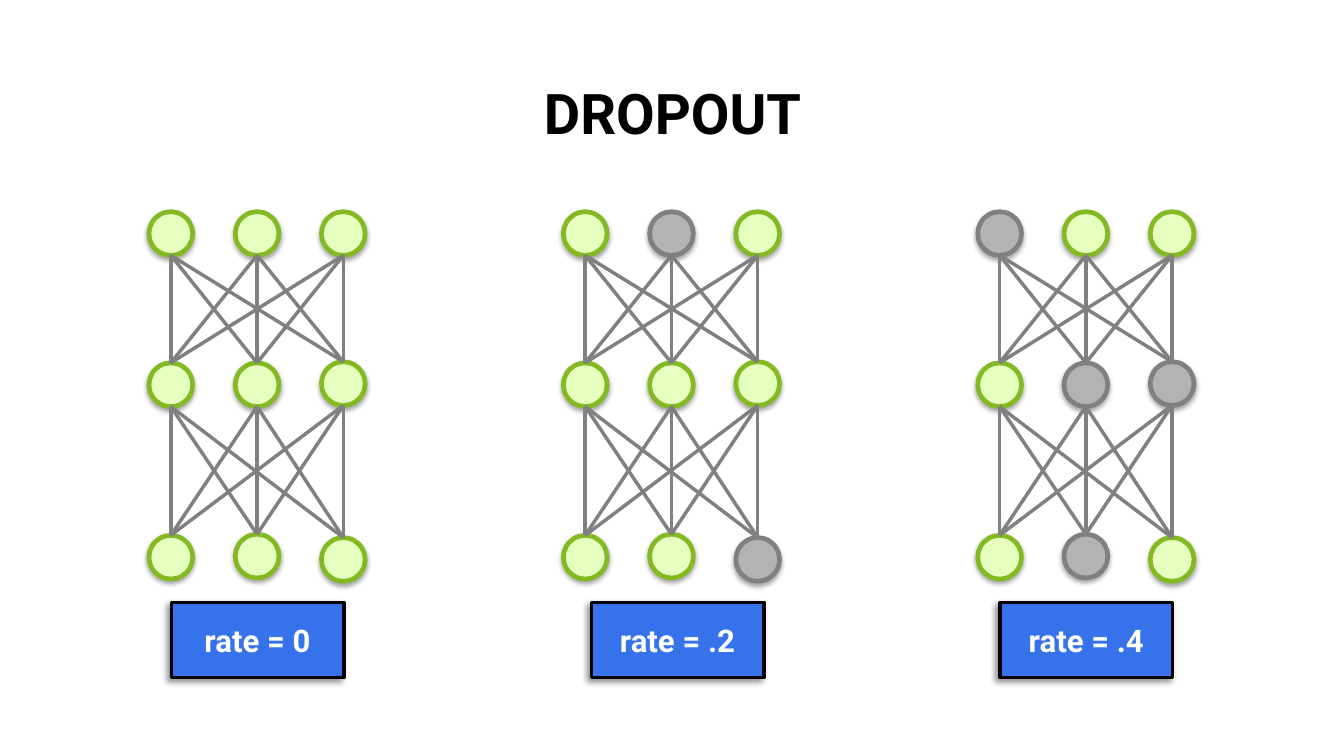
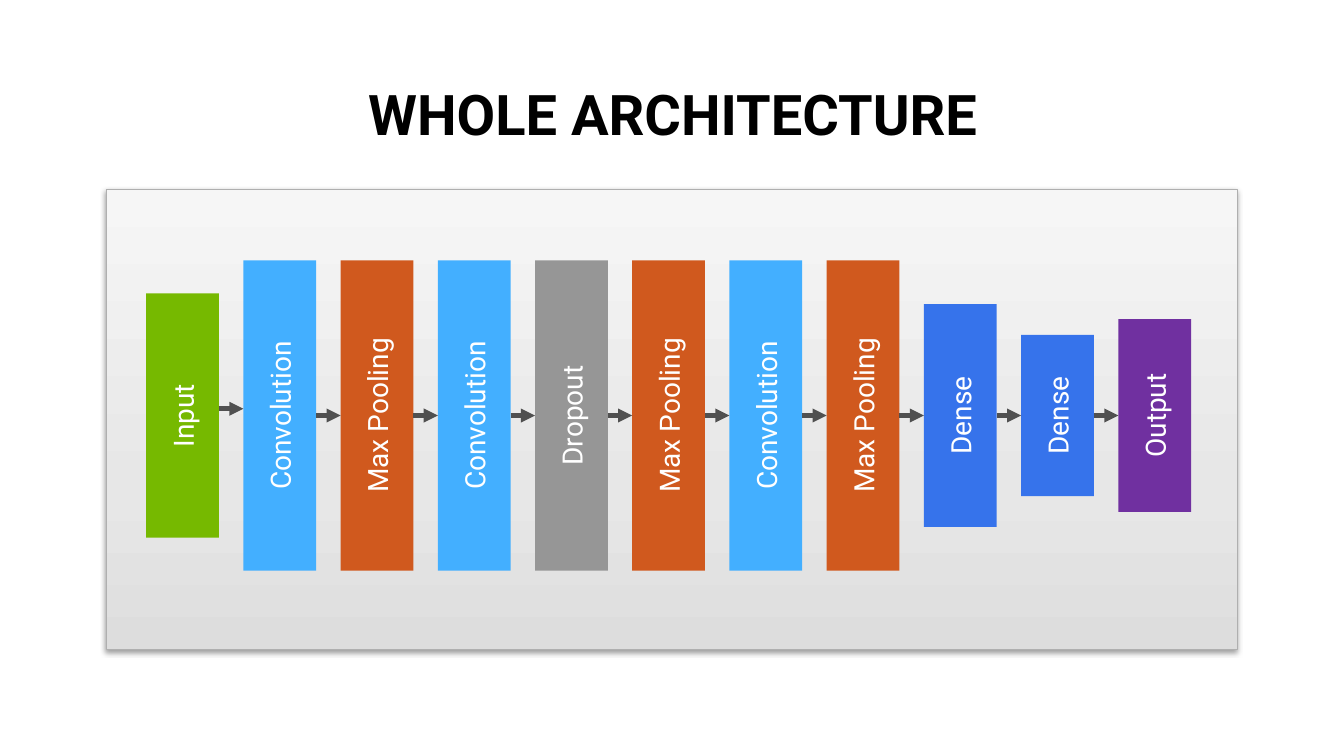
from itertools import pairwise, product

from lxml import etree
from pptx import Presentation
from pptx.dml.color import RGBColor
from pptx.enum import shapes, text
from pptx.oxml import ns
from pptx.util import Inches, Pt

FONT = "Roboto"
COLORS = {
    "ink": "000000",
    "paper": "FFFFFF",
    "active": "E7FFBE",
    "active_edge": "83BA24",
    "dropped": "B3B3B3",
    "gray": "808080",
    "arrow": "505050",
    "blue": "3673EB",
    "sky": "43AFFF",
    "green": "76B900",
    "orange": "D0591E",
    "silver": "969696",
    "purple": "7030A0",
    "panel_edge": "AFAFAF",
    "panel_dark": "DDDDDD",
    "panel_mid": "E7E7E7",
    "panel_light": "F6F6F6",
}

# Networks: label, label offset, dropped nodes as (row, column)
NETWORKS = [
    ("rate = 0", 0.2, set()),
    ("rate = .2", 0.25, {(0, 1), (2, 2)}),
    ("rate = .4", 0.2, {(0, 0), (1, 1), (1, 2), (2, 1)}),
]
NETWORK_PITCH = 3.7
NODE_SIZE = 0.39
NODE_PITCH = 0.77
NODE_TOPS = [(0, 0, 0), (1.35, 1.35, 1.34), (2.89, 2.88, 2.91)]

CONVOLUTION = ("Convolution", "sky", 2.77)
POOLING = ("Max Pooling", "orange", 2.77)
LAYERS = [
    ("Input", "green", 2.18),
    CONVOLUTION,
    POOLING,
    CONVOLUTION,
    ("Dropout", "silver", 2.77),
    POOLING,
    CONVOLUTION,
    POOLING,
    ("Dense", "blue", 1.99),
    ("Dense", "blue", 1.44),
    ("Output", "purple", 1.72),
]
LAYER_THICKNESS = 0.65


def rgb(name):
    return RGBColor.from_string(COLORS[name])


def add_child(parent, tag, **attributes):
    child = etree.SubElement(parent, ns.qn(tag))
    for name, value in attributes.items():
        child.set(name, str(value))
    return child


def add_shadow(shape, alpha, blur, distance, angle):
    """Cast an outer shadow; blur and distance are in points."""
    effects = shape._element.spPr.find(ns.qn("a:effectLst"))
    shadow = add_child(effects, "a:outerShdw", blurRad=Pt(blur), dist=Pt(distance),
                       dir=angle * 60000, algn="ctr", rotWithShape=0)
    color = add_child(shadow, "a:srgbClr", val=COLORS["ink"])
    add_child(color, "a:alpha", val=alpha * 1000)


def write(shape, words, size, color="paper", bold=False, spacing=None,
          anchor=text.MSO_ANCHOR.MIDDLE):
    """Fill a shape or text box with one centred paragraph."""
    frame = shape.text_frame
    frame.word_wrap = True
    frame.vertical_anchor = anchor
    para = frame.paragraphs[0]
    para.alignment = text.PP_ALIGN.CENTER
    if spacing:
        para.line_spacing = spacing
    span = para.add_run()
    span.text = words
    span.font.name = FONT
    span.font.size = Pt(size)
    span.font.bold = bold
    span.font.color.rgb = rgb(color)


def add_box(parent, left, top, width, height, fill=None, edge=None, weight=1,
            kind=shapes.MSO_SHAPE.RECTANGLE, rotation=0):
    box = parent.shapes.add_shape(kind, Inches(left), Inches(top),
                                  Inches(width), Inches(height))
    box.rotation = rotation
    box.shadow.inherit = False
    if fill:
        box.fill.solid()
        box.fill.fore_color.rgb = rgb(fill)
    if edge:
        box.line.color.rgb = rgb(edge)
        box.line.width = Pt(weight)
    else:
        box.line.fill.background()
    return box


def add_line(parent, start, end, color, weight, arrow=False):
    line = parent.shapes.add_connector(shapes.MSO_CONNECTOR.STRAIGHT,
                                       *map(Inches, (*start, *end)))
    line.line.color.rgb = rgb(color)
    line.line.width = Pt(weight)
    properties = line._element.spPr
    if arrow:
        add_child(properties.find(ns.qn("a:ln")), "a:tailEnd", type="triangle")
    add_child(properties, "a:effectLst")
    return line


def add_title(page, words, top):
    box = page.shapes.add_textbox(Inches(0.55), Inches(top), Inches(10.91), Inches(0.65))
    write(box, words, 36, color="ink", bold=True, spacing=0.9,
          anchor=text.MSO_ANCHOR.BOTTOM)


def add_network(page, left, top, dropped):
    """Three rows of nodes, each row fully linked to the next."""
    group = page.shapes.add_group_shape()
    for row, column in product(range(3), repeat=2):
        off = (row, column) in dropped
        node = add_box(group, left + column * NODE_PITCH, top + NODE_TOPS[row][column],
                       NODE_SIZE, NODE_SIZE, "dropped" if off else "active",
                       "gray" if off else "active_edge", 3,
                       shapes.MSO_SHAPE.OVAL, rotation=90)
        add_shadow(node, 34, 3.1, 1.8, 90)

    centers = [left + NODE_SIZE / 2 + column * NODE_PITCH for column in range(3)]
    for upper, lower in pairwise(NODE_TOPS):
        for a, b in product(range(3), repeat=2):
            add_line(group, (centers[a], top + upper[a] + NODE_SIZE),
                     (centers[b], top + lower[b]), "gray", 2.25)


def add_rate(page, left, top, words):
    box = add_box(page, left, top, 1.54, 0.67, "blue", "ink", 2.25)
    add_shadow(box, 40, 4, 3, 135)
    write(box, words, 20, bold=True)


def add_panel(parent, left, top, width, height):
    panel = add_box(parent, left, top, width, height, edge="panel_edge", weight=0.75)
    panel.fill.gradient()
    panel.fill.gradient_angle = 90
    stops = panel._element.spPr.find(".//" + ns.qn("a:gsLst"))
    for stop in list(stops):
        stops.remove(stop)
    for position, name in [(0, "panel_dark"), (35, "panel_mid"), (100, "panel_light")]:
        stop = add_child(stops, "a:gs", pos=position * 1000)
        add_child(stop, "a:srgbClr", val=COLORS[name])
    add_shadow(panel, 38, 3.1, 1.6, 90)


def join(line, first, second):
    """Join two upright-turned layers: their bottom faces right, their top left."""
    ends = line.begin_x, line.begin_y, line.end_x, line.end_y
    line.begin_connect(first, 2)
    line.end_connect(second, 0)
    # Connecting ignores rotation, so the end points are set again
    line.begin_x, line.begin_y, line.end_x, line.end_y = ends


def add_architecture(page, left, top, width, height):
    group = page.shapes.add_group_shape()
    add_panel(group, left, top, width, height)
    middle = top + 2.02
    first, last = left + 0.68, left + width - 0.74
    pitch = (last - first) / (len(LAYERS) - 1)
    half = LAYER_THICKNESS / 2

    layers = []
    for index, (words, fill, length) in enumerate(LAYERS):
        layer = add_box(group, first + index * pitch - length / 2, middle - half,
                        length, LAYER_THICKNESS, fill, rotation=270)
        write(layer, words, 18)
        layers.append(layer)

    for index, pair in enumerate(pairwise(layers)):
        x = first + index * pitch
        y = middle if index else middle - 0.06
        arrow = add_line(group, (x + half, y), (x + pitch - half, y), "arrow", 3, arrow=True)
        if index:
            join(arrow, *pair)


def build_dropout(page):
    add_title(page, "DROPOUT", 0.71)
    for index, (words, offset, dropped) in enumerate(NETWORKS):
        left = 1.33 + index * NETWORK_PITCH
        add_network(page, left, 1.89, dropped)
        add_rate(page, left + offset, 5.38, words)


def build_architecture(page):
    add_title(page, "WHOLE ARCHITECTURE", 0.72)
    add_architecture(page, 0.95, 1.69, 10.1, 4.11)


def main():
    deck = Presentation()
    deck.slide_width, deck.slide_height = Inches(12), Inches(6.75)
    for build in (build_dropout, build_architecture):
        build(deck.slides.add_slide(deck.slide_layouts[6]))
    deck.save("out.pptx")


if __name__ == "__main__":
    main()
